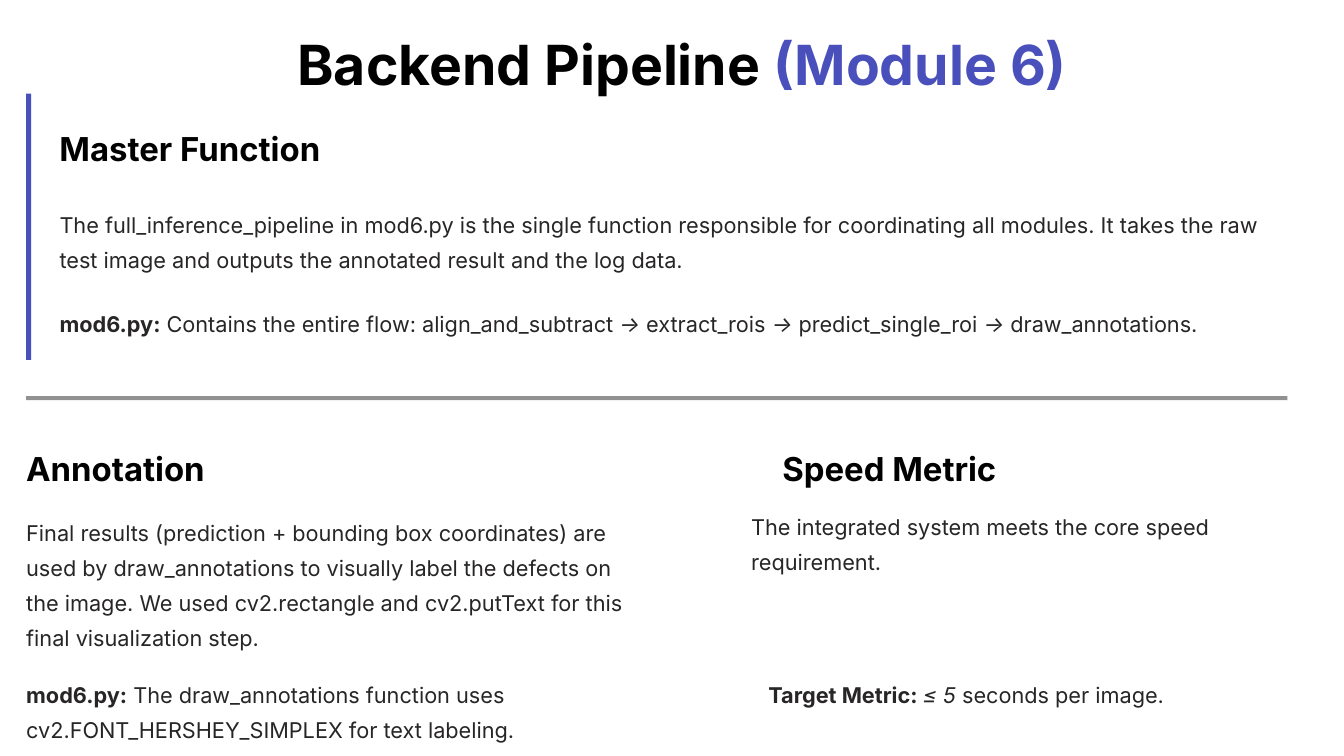
"""Build the Backend Pipeline (Module 6) slide."""
from lxml import etree
from pptx import Presentation
from pptx.dml.color import RGBColor
from pptx.enum.shapes import MSO_SHAPE
from pptx.enum.text import MSO_ANCHOR, PP_ALIGN
from pptx.oxml.ns import qn
from pptx.util import Inches, Pt

RECT = MSO_SHAPE.RECTANGLE
TOP = MSO_ANCHOR.TOP
LEFT = PP_ALIGN.LEFT

COLORS = {"black": "000000", "accent": "4950BC", "body": "272525"}
FONT = "Inter"
STYLES = {
    "title": {"size": 39.5, "leading": 49.5, "color": "black", "bold": True},
    "heading": {"size": 23.5, "leading": 29.5, "color": "black", "bold": True},
    "body": {"size": 15.5, "leading": 25, "color": "body"},
}
BOLD, ITALIC = {"bold": True}, {"italic": True}
ARROW = ("→", ITALIC)

WIDTH, HEIGHT = 13.33, 7.5
MARGIN, INDENT = 0.26, 0.59
FULL, COLUMN, HEAD = 12.22, 6.02, 2.87
RIGHT, RIGHT_WIDTH = 7.45, 5.62
HEAD_ROW, NOTE_ROW = 4.43, 6.68

TITLE = [("Backend Pipeline ", {}), ("(Module 6)", {"color": "accent"})]
MASTER = [("The full_inference_pipeline in mod6.py is the single function responsible for "
           "coordinating all modules. It takes the raw test image and outputs the "
           "annotated result and the log data.", {})]
FLOW = [("mod6.py:", BOLD), (" Contains the entire flow: align_and_subtract ", {}), ARROW,
        (" extract_rois ", {}), ARROW, (" predict_single_roi ", {}), ARROW,
        (" draw_annotations.", {})]
ANNOTATION = [("Final results (prediction + bounding box coordinates) are used by "
               "draw_annotations to visually label the defects on the image. We used "
               "cv2.rectangle and cv2.putText for this final visualization step.", {})]
LABELING = [("mod6.py:", BOLD), (" The draw_annotations function uses "
                                 "cv2.FONT_HERSHEY_SIMPLEX for text labeling.", {})]
SPEED = [("The integrated system meets the core speed requirement.", {})]
TARGET = [("Target Metric: ", BOLD), ("≤ 5", ITALIC), (" seconds per image.", {})]

# style, runs, left, top, width, lines
TEXTS = [
    ("title", TITLE, 2.95, 0.27, 8, 1),
    ("heading", [("Master Function", {})], INDENT, 1.26, HEAD, 1),
    ("body", MASTER, INDENT, 2.01, FULL, 2),
    ("body", FLOW, INDENT, 2.99, FULL, 1),
    ("heading", [("Annotation", {})], MARGIN, HEAD_ROW, HEAD, 1),
    ("body", ANNOTATION, MARGIN, 5.07, COLUMN, 4),
    ("body", LABELING, MARGIN, NOTE_ROW, COLUMN, 2),
    ("heading", [("Speed Metric", {})], 7.76, HEAD_ROW, HEAD, 1),
    ("body", SPEED, RIGHT, 5.01, RIGHT_WIDTH, 4),
    ("body", TARGET, 7.62, NOTE_ROW, RIGHT_WIDTH, 1),
]
BARS = [
    ("accent", MARGIN, 0.93, 0.05, 2.64, 100),
    ("body", MARGIN, 3.93, 12.51, 0.04, 50),
]


def add_text(slide, runs, *, left, top, width, lines, size, leading, color, bold=False):
    """Add a text box holding one paragraph of formatted runs."""
    height = lines * leading / 72
    box = slide.shapes.add_textbox(Inches(left), Inches(top), Inches(width), Inches(height))
    tf = box.text_frame
    tf.word_wrap = True
    tf.vertical_anchor = TOP
    tf.margin_left = tf.margin_right = tf.margin_top = tf.margin_bottom = 0
    p = tf.paragraphs[0]
    p.alignment = LEFT
    p.line_spacing = Pt(leading)
    for text, fmt in runs:
        r = p.add_run()
        r.text = text
        r.font.name = FONT
        r.font.size = Pt(size)
        r.font.bold = fmt.get("bold", bold)
        r.font.italic = fmt.get("italic", False)
        r.font.color.rgb = RGBColor.from_string(COLORS[fmt.get("color", color)])


def add_bar(slide, color, left, top, width, height, opacity):
    """Add a borderless bar with the given opacity in percent."""
    sp = slide.shapes.add_shape(RECT, Inches(left), Inches(top), Inches(width), Inches(height))
    sp.shadow.inherit = False
    sp.line.fill.background()
    sp.fill.solid()
    sp.fill.fore_color.rgb = RGBColor.from_string(COLORS[color])
    if opacity < 100:
        clr = sp.element.spPr.find(qn("a:solidFill")).find(qn("a:srgbClr"))
        etree.SubElement(clr, qn("a:alpha")).set("val", str(opacity * 1000))


def main():
    """Lay out the bars and texts and save the slide."""
    prs = Presentation()
    prs.slide_width, prs.slide_height = Inches(WIDTH), Inches(HEIGHT)
    slide = prs.slides.add_slide(prs.slide_layouts[6])
    for bar in BARS:
        add_bar(slide, *bar)
    for style, runs, left, top, width, lines in TEXTS:
        add_text(slide, runs, left=left, top=top, width=width, lines=lines, **STYLES[style])
    prs.save("out.pptx")


if __name__ == "__main__":
    main()
